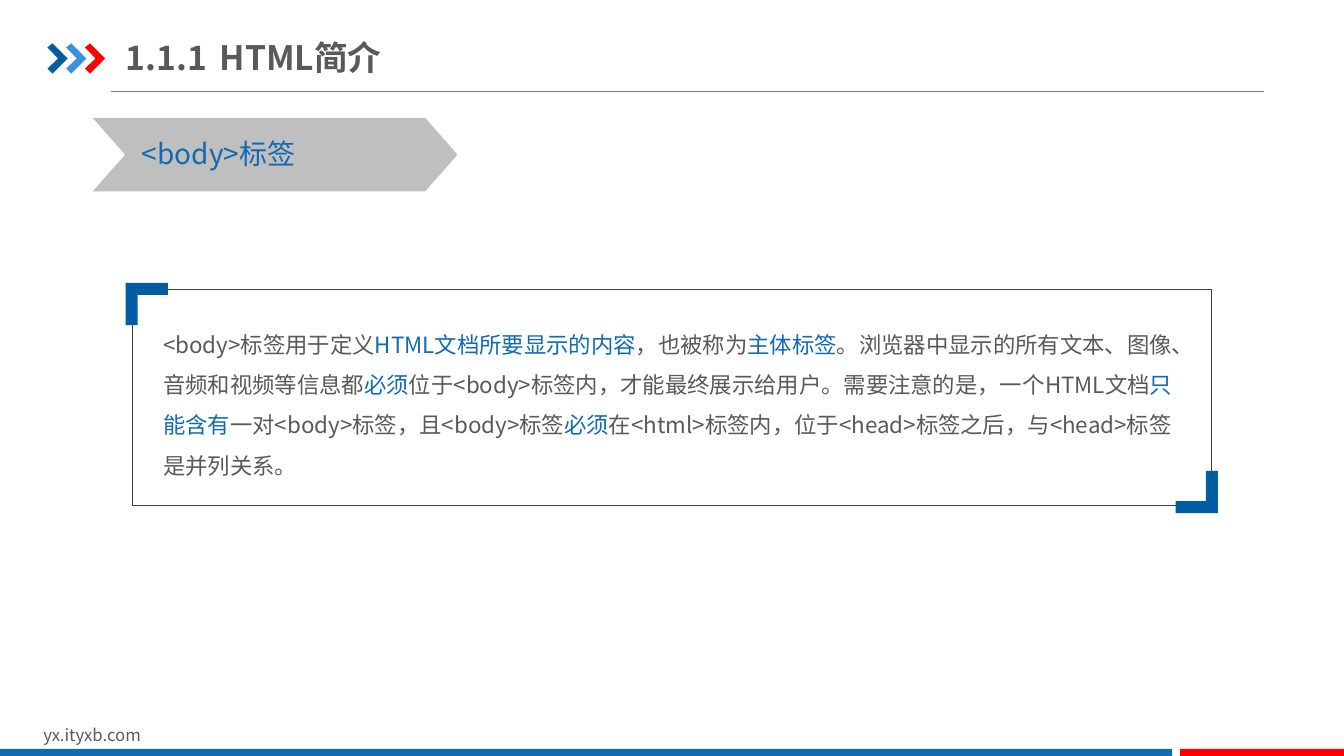
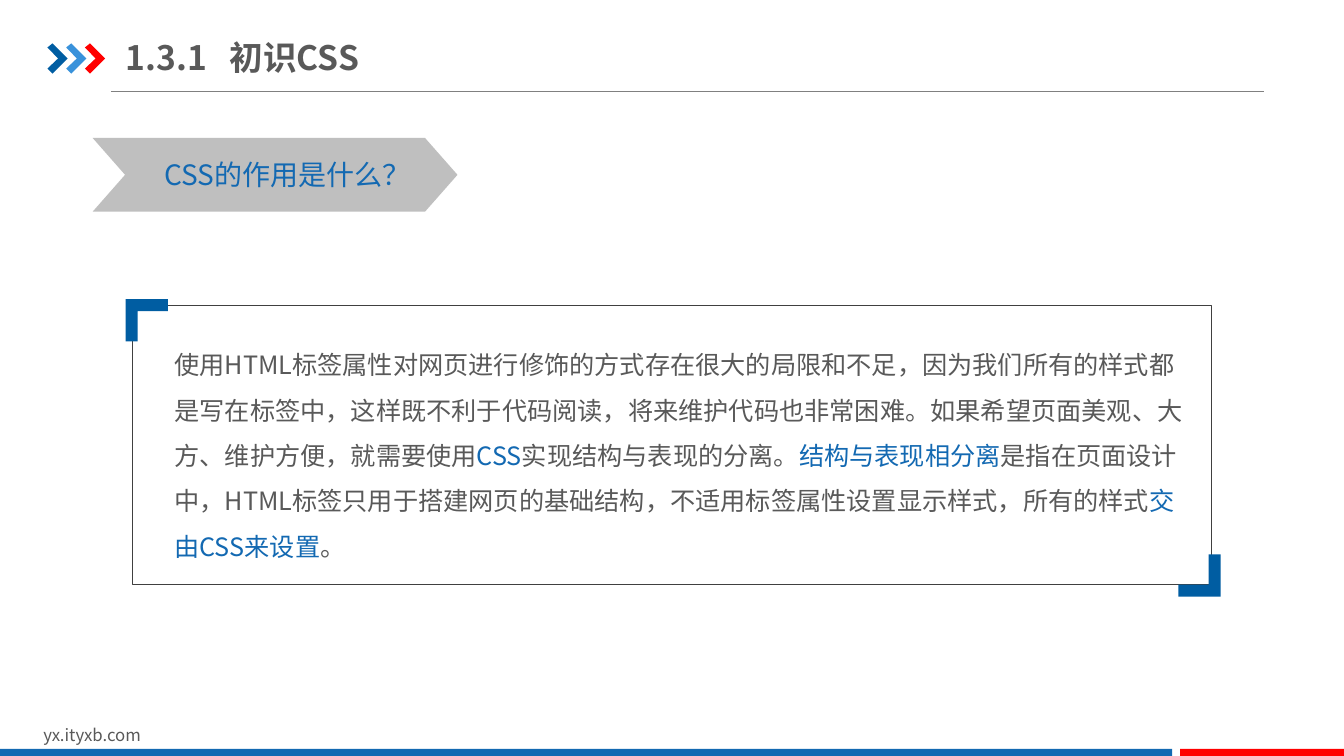
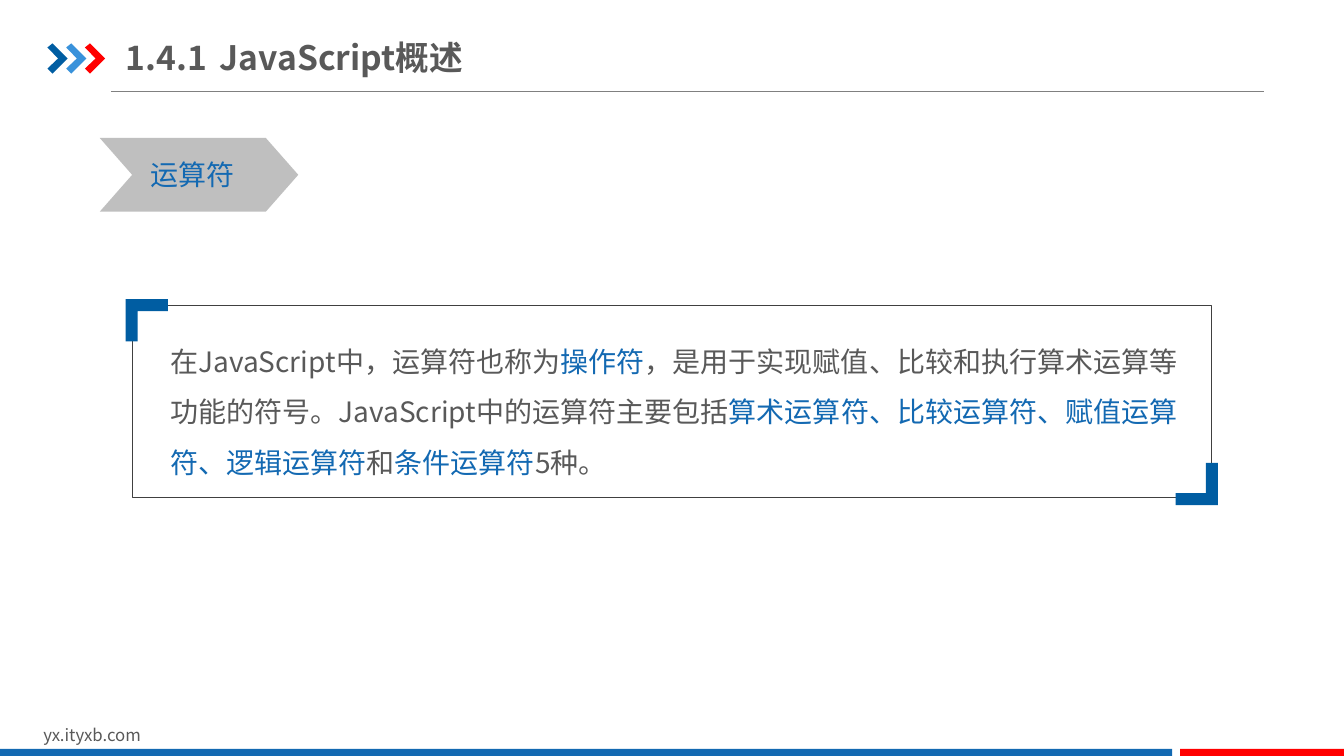
from lxml.etree import SubElement
from pptx import Presentation
from pptx.dml.color import RGBColor
from pptx.enum.shapes import MSO_CONNECTOR, MSO_SHAPE as Preset
from pptx.enum.text import MSO_ANCHOR, MSO_AUTO_SIZE as Fit
from pptx.oxml.ns import qn
from pptx.util import Pt

FONT = "Noto Sans CJK SC"
COLORS = {"text": "595959", "blue": "1369B2", "dark_blue": "005DA2",
          "light_blue": "3992DB", "red": "FF0000", "rule": "808080",
          "frame": "404040", "banner": "BFBFBF"}
WIDTH, HEIGHT = 960, 540
BAR_TOP = 535
FRAME_LEFT, FRAME_WIDTH = 94.3, 771.1
BODY_WIDTH = 731.5
CORNER_SIZE, CORNER_THICKNESS = 30.2, 8.6
CORNER_OVERHANG = 4.5

# In each body the runs alternate: plain, highlighted, plain, ...
# Boxes are left, top, width, height; frames are top, height.
TOPICS = [
    {"title": "1.1.1\tHTML简介", "title_tab": 67,
     "label": "<body>标签", "label_left": 94.3, "label_width": 134.6,
     "banner": (66.2, 84.2, 260.6),
     "frame": (206.6, 154.1), "end_overhang": (4.5, 5.8),
     "body_box": (116.6, 226.8, 116.6), "size": 16,
     "body": ["<body>标签用于定义", "HTML文档所要显示的内容", "，也被称为", "主体标签",
              "。浏览器中显示的所有文本、图像、音频和视频等信息都", "必须",
              "位于<body>标签内，才能最终展示给用户。需要注意的是，一个HTML文档",
              "只能含有", "一对<body>标签，且<body>标签", "必须",
              "在<html>标签内，位于<head>标签之后，与<head>标签是并列关系。"]},
    {"title": "1.3.1\t初识CSS", "title_tab": 74,
     "label": "CSS的作用是什么？", "label_left": 110.2, "label_width": 193,
     "banner": (66.2, 98.6, 260.6),
     "frame": (218.2, 199.4), "end_overhang": (6.5, 8.6),
     "body_box": (124.6, 239, 159.8), "size": 18,
     "body": ["使用HTML标签属性对网页进行修饰的方式存在很大的局限和不足，因为我们所有的样式都是"
              "写在标签中，这样既不利于代码阅读，将来维护代码也非常困难。如果希望页面美观、大方、"
              "维护方便，就需要使用", "CSS", "实现结构与表现的分离。", "结构与表现相分离",
              "是指在页面设计中，HTML标签只用于搭建网页的基础结构，不适用标签属性设置显示样式，"
              "所有的样式", "交由CSS来设置", "。"]},
    {"title": "1.4.1\tJavaScript概述", "title_tab": 67,
     "label": "运算符", "label_left": 100.1, "label_width": 74.9,
     "banner": (71.3, 98.6, 141.8),
     "frame": (218.2, 136.8), "end_overhang": (4.5, 5.8),
     "body_box": (121.7, 234, 105.1), "size": 20,
     "body": ["在JavaScript中，运算符也称为", "操作符",
              "，是用于实现赋值、比较和执行算术运算等功能的符号。JavaScript中的运算符主要包括",
              "算术运算符、比较运算符、赋值运算符、逻辑运算符", "和", "条件运算符", "5种。"]},
]


def add_text(shapes, box, runs, size, bold=False):
    """Add a text box; runs are (text, colour name) pairs of one paragraph."""
    frame = shapes.add_textbox(*map(Pt, box)).text_frame
    frame.word_wrap = True
    for text, color in runs:
        run = frame.paragraphs[0].add_run()
        run.text = text
        run.font.size = Pt(size)
        run.font.bold = bold
        run.font.color.rgb = RGBColor.from_string(COLORS[color])
        run.font.name = FONT
        SubElement(run.font._element, qn("a:ea"), typeface=FONT)
    return frame


def paint(shape, color):
    shape.shadow.inherit = False
    shape.fill.solid()
    shape.fill.fore_color.rgb = RGBColor.from_string(COLORS[color])
    shape.line.fill.background()


prs = Presentation()
prs.slide_width, prs.slide_height = Pt(WIDTH), Pt(HEIGHT)
blank = prs.slide_layouts[6]
slides = [prs.slides.add_slide(blank) for _ in TOPICS]

# Shared furniture: drawn on the first slide, then moved to the layout
shared = slides[0].shapes
rule = shared.add_connector(MSO_CONNECTOR.STRAIGHT, Pt(79.2), Pt(65.5), Pt(903), Pt(65.5))
rule.line.width = Pt(0.75)
rule.line.color.rgb = RGBColor.from_string(COLORS["rule"])
SubElement(rule.element.spPr, qn("a:effectLst"))

ARROW = [(0, 2.9), (3.6, 0), (14.4, 10.8), (3.6, 21.6), (0, 18), (7.6, 10.8)]
for i, color in enumerate(["dark_blue", "light_blue", "red"]):
    points = [(Pt(33.9 + 13.4 * i + x), Pt(31 + y)) for x, y in ARROW]
    outline = shared.build_freeform(*points[0])
    outline.add_line_segments(points[1:])
    paint(outline.convert_to_shape(), color)

add_text(shared, (23.8, 514, 229, 21.6), [("yx.ityxb.com", "text")], 12)
for left, right, color in [(0, 837.2, "blue"), (843, WIDTH, "red")]:
    paint(shared.add_shape(Preset.RECTANGLE, Pt(left), Pt(BAR_TOP), Pt(right - left),
                           Pt(HEIGHT - BAR_TOP)), color)

for placeholder in list(blank.placeholders):
    placeholder.element.getparent().remove(placeholder.element)
for shape in list(shared):
    blank.shapes.element.append(shape.element)

for slide, topic in zip(slides, TOPICS):
    shapes = slide.shapes

    title = add_text(shapes, (90, 20.9, 306.7, 39.6), [(topic["title"], "text")], 24, bold=True)
    title.vertical_anchor = MSO_ANCHOR.MIDDLE
    title.margin_left = title.margin_right = 0
    title.margin_top = title.margin_bottom = Pt(5)
    tabs = SubElement(title.paragraphs[0]._p.get_or_add_pPr(), qn("a:tabLst"))
    SubElement(tabs, qn("a:tab"), pos=str(Pt(topic["title_tab"])), algn="l")

    top, height = topic["frame"]
    frame = shapes.add_shape(Preset.RECTANGLE, Pt(FRAME_LEFT), Pt(top),
                             Pt(FRAME_WIDTH), Pt(height))
    frame.shadow.inherit = False
    frame.fill.background()
    frame.line.width = Pt(0.25)
    frame.line.color.rgb = RGBColor.from_string(COLORS["frame"])

    left, body_top, body_height = topic["body_box"]
    runs = [(text, "blue" if i % 2 else "text") for i, text in enumerate(topic["body"])]
    body = add_text(shapes, (left, body_top, BODY_WIDTH, body_height), runs, topic["size"])
    body.margin_left = body.margin_right = body.margin_top = body.margin_bottom = 0
    body.auto_size = Fit.SHAPE_TO_FIT_TEXT
    body.paragraphs[0].line_spacing = 1.5

    # Corner brackets; the second one is the first turned by half a circle
    over_x, over_y = topic["end_overhang"]
    size, thick = CORNER_SIZE, CORNER_THICKNESS
    bracket = [(0, 0), (size, 0), (size, thick), (thick, thick), (thick, size), (0, size)]
    for x, y, direction in [
            (FRAME_LEFT - CORNER_OVERHANG, top - CORNER_OVERHANG, 1),
            (FRAME_LEFT + FRAME_WIDTH + over_x, top + height + over_y, -1)]:
        points = [(Pt(x + direction * dx), Pt(y + direction * dy)) for dx, dy in bracket]
        outline = shapes.build_freeform(*points[0])
        outline.add_line_segments(points[1:])
        paint(outline.convert_to_shape(), "dark_blue")

    left, top, width = topic["banner"]
    banner = shapes.add_shape(Preset.CHEVRON, Pt(left), Pt(top), Pt(width), Pt(52.6))
    banner.adjustments[0] = 0.44
    paint(banner, "banner")
    label = add_text(shapes, (topic["label_left"], top + 10.1, topic["label_width"], 31.7),
                     [(topic["label"], "blue")], 20)
    label.word_wrap = False
    label.auto_size = Fit.SHAPE_TO_FIT_TEXT

prs.save("out.pptx")
